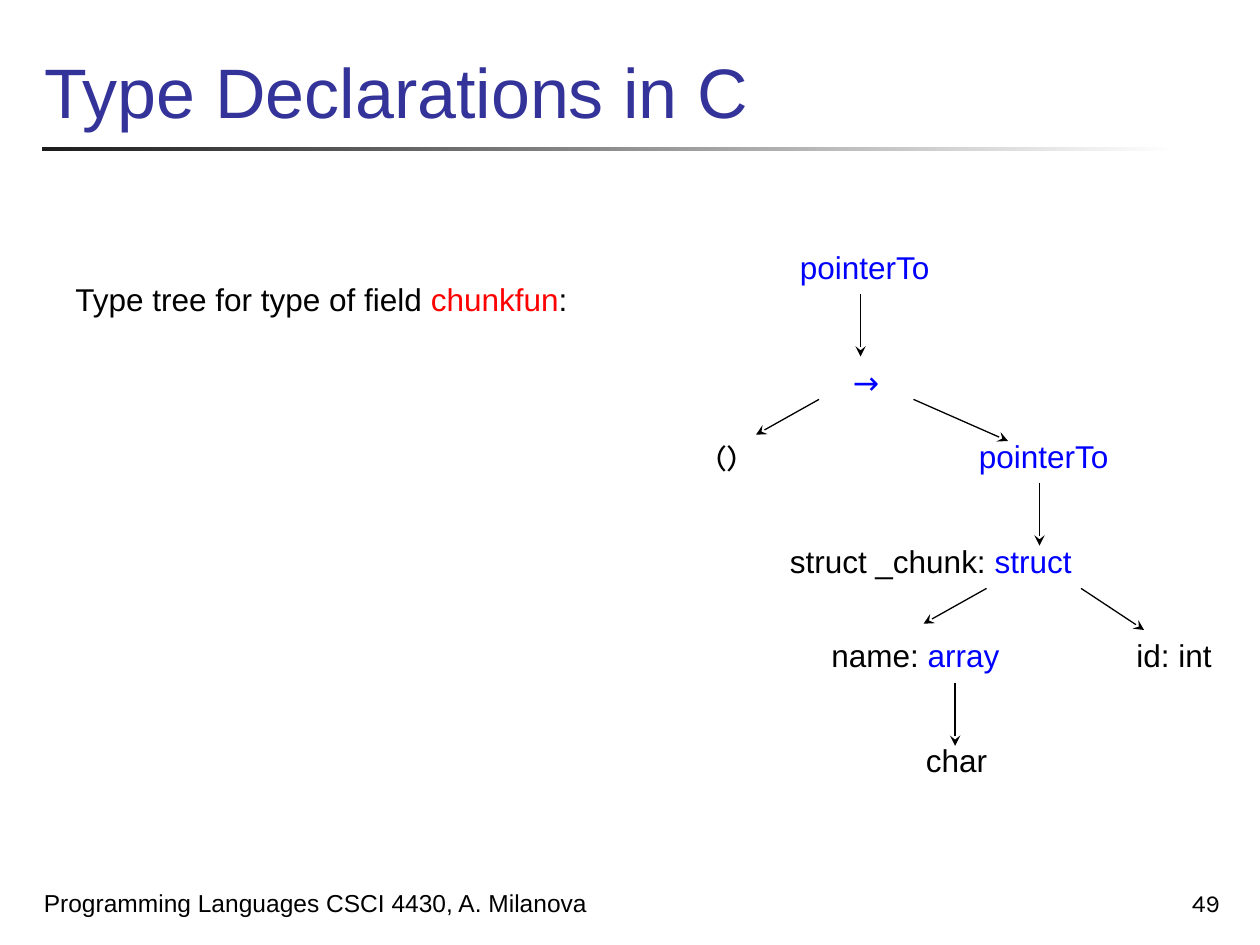
from collections import namedtuple

from lxml.etree import SubElement
from pptx import Presentation
from pptx.dml.color import RGBColor
from pptx.enum.shapes import MSO_CONNECTOR, MSO_SHAPE
from pptx.enum.text import MSO_ANCHOR, MSO_AUTO_SIZE, PP_ALIGN
from pptx.oxml.ns import qn
from pptx.util import Inches, Pt

Box = namedtuple("Box", "left top width height")

COLOURS = {
    "title": "333399",
    "text": "000000",
    "type": "0000FF",
    "field": "FF0000",
    "rule_start": "1C1C1C",
    "rule_end": "FFFFFF",
}

NODES = [
    (0.75, 0, 1.26, "Arial", [("pointerTo", "type")]),
    (1.17, 0.91, 0.45, "Karla", [("→", "type")]),
    (0.08, 1.5, 0.39, "Karla", [("()", "text")]),
    (2.17, 1.5, 1.26, "Arial", [("pointerTo", "type")]),
    (0.67, 2.33, 2.48, "Arial", [("struct _chunk:", "text"), (" struct", "type")]),
    (1, 3.08, 1.55, "Arial", [("name: ", "text"), ("array", "type")]),
    (3.42, 3.08, 0.81, "Arial", [("id: int", "text")]),
    (1.75, 3.91, 0.69, "Arial", [("char", "text")]),
]

EDGES = [
    (1.33, 0.41, 0, 0.5),
    (1, 1.25, -0.5, 0.28),
    (1.75, 1.25, 0.75, 0.33),
    (2.75, 1.91, 0, 0.5),
    (2.33, 2.75, -0.5, 0.28),
    (3.08, 2.75, 0.5, 0.33),
    (2.08, 3.5, 0, 0.5),
]


def colour(name):
    return RGBColor.from_string(COLOURS[name])


def write(frame, spans, size, font="Arial", align=PP_ALIGN.LEFT):
    para = frame.paragraphs[0]
    para.alignment = align
    for text, name in spans:
        span = para.add_run()
        span.text = text
        span.font.size = Pt(size)
        span.font.name = font
        span.font.color.rgb = colour(name)


def add_label(page, box, spans, size=18, font="Arial", align=PP_ALIGN.LEFT,
              anchor=MSO_ANCHOR.TOP, wrap=False):
    label = page.shapes.add_textbox(*map(Inches, box))
    frame = label.text_frame
    frame.word_wrap = wrap
    frame.auto_size = MSO_AUTO_SIZE.NONE if wrap else MSO_AUTO_SIZE.SHAPE_TO_FIT_TEXT
    frame.vertical_anchor = anchor
    write(frame, spans, size, font, align)


def add_arrow(page, left, top, across, down):
    ends = (left, top, left + across, top + down)
    arrow = page.shapes.add_connector(MSO_CONNECTOR.STRAIGHT, *map(Inches, ends))
    arrow.line.color.rgb = colour("text")
    arrow.line.width = Pt(0.75)
    SubElement(arrow.line._get_or_add_ln(), qn("a:tailEnd"), type="stealth")
    SubElement(arrow._element.spPr, qn("a:effectLst"))


def add_heading(page, box):
    title = page.shapes.title
    title.left, title.top, title.width, title.height = map(Inches, box)
    frame = title.text_frame
    frame.auto_size = MSO_AUTO_SIZE.NONE
    frame.vertical_anchor = MSO_ANCHOR.BOTTOM
    write(frame, [("Type Declarations in C", "title")], 40)

    rule_box = (box.left + 0.08, box.top + box.height + 0.07, 9, 0.03)
    rule = page.shapes.add_shape(MSO_SHAPE.RECTANGLE, *map(Inches, rule_box))
    rule.shadow.inherit = False
    rule.line.fill.background()
    rule.fill.gradient()
    rule.fill.gradient_angle = 0
    for stop, name in zip(rule.fill.gradient_stops, ("rule_start", "rule_end")):
        stop.color.rgb = colour(name)


def add_type_tree(page, box):
    for left, top, width, font, spans in NODES:
        node_box = Box(box.left + left, box.top + top, width, 0.4)
        add_label(page, node_box, spans, font=font)
    for left, top, across, down in EDGES:
        add_arrow(page, box.left + left, box.top + top, across, down)


def add_footer(page, box):
    number_width = 2.08
    number_left = box.left + box.width - number_width
    add_label(page, Box(box.left, box.top, 5.17, box.height),
              [("Programming Languages CSCI 4430, A. Milanova", "text")],
              14, anchor=MSO_ANCHOR.BOTTOM, wrap=True)
    add_label(page, Box(number_left, box.top, number_width, box.height),
              [("49", "text")], 14, "Karla", PP_ALIGN.RIGHT,
              MSO_ANCHOR.BOTTOM, True)


def main():
    deck = Presentation()
    deck.slide_width, deck.slide_height = Inches(10), Inches(7.5)
    page = deck.slides.add_slide(deck.slide_layouts[5])
    add_heading(page, Box(0.25, 0, 9.52, 1.1))
    add_label(page, Box(0.5, 2.17, 4.22, 0.4),
              [("Type tree for type of field ", "text"), ("chunkfun", "field"), (":", "text")])
    add_type_tree(page, Box(5.5, 1.92, 4.23, 4.31))
    add_footer(page, Box(0.25, 6.83, 9.53, 0.5))
    deck.save("out.pptx")


if __name__ == "__main__":
    main()
